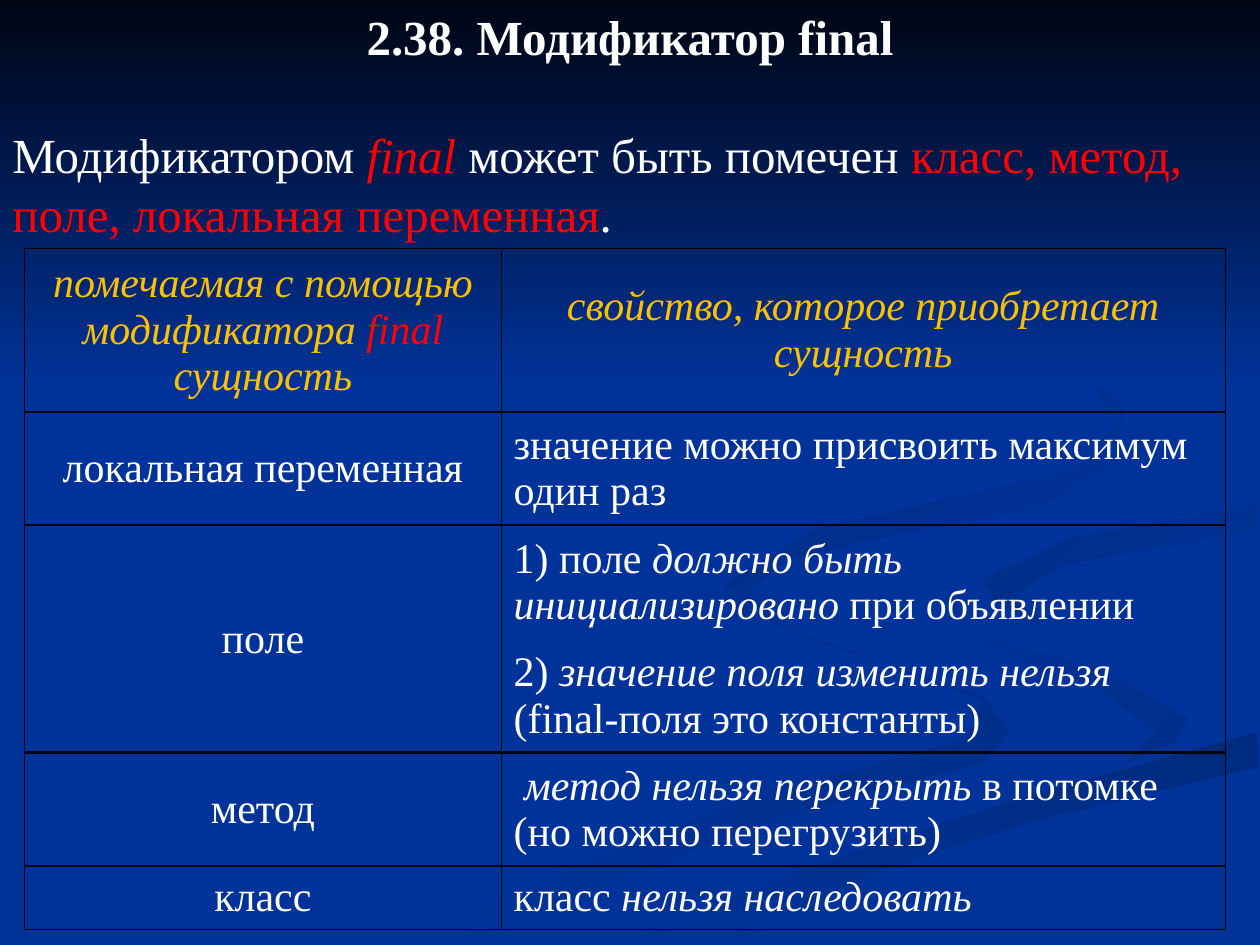
from lxml.etree import SubElement
from pptx import Presentation
from pptx.dml.color import RGBColor
from pptx.enum.shapes import MSO_SHAPE
from pptx.enum.text import MSO_ANCHOR, MSO_AUTO_SIZE, PP_ALIGN
from pptx.oxml.ns import qn
from pptx.util import Cm, Pt

WHITE = RGBColor(0xFF, 0xFF, 0xFF)
RED = RGBColor(0xFF, 0x00, 0x00)
GOLD = RGBColor(0xFF, 0xC0, 0x00)
BLACK = RGBColor(0x00, 0x00, 0x00)
NIGHT = RGBColor(0x00, 0x05, 0x14)
BLUE = RGBColor(0x00, 0x33, 0x99)
DEEP_BLUE = RGBColor(0x00, 0x2E, 0x8B)
DARK_BLUE = RGBColor(0x00, 0x2A, 0x7D)
SHADE_BLUE = RGBColor(0x00, 0x2D, 0x86)
CURL_BLUE = RGBColor(0x00, 0x2B, 0x82)
FONT = "Times New Roman"

TITLE = [("2.38. Модификатор final", WHITE, False)]
INTRO = [
    ("Модификатором ", WHITE, False),
    ("final ", RED, True),
    ("может быть помечен ", WHITE, False),
    ("класс, метод, поле, локальная переменная", RED, False),
    (".", WHITE, False),
]
TABLE_ROWS = [
    ([("помечаемая с помощью модификатора ", GOLD, True), ("final", RED, True), (" сущность", GOLD, True)],
     [("свойство, которое приобретает сущность", GOLD, True)]),
    ([("локальная переменная", WHITE, False)],
     [("значение можно присвоить максимум один раз", WHITE, False)]),
    ([("поле", WHITE, False)],
     [("1) поле ", WHITE, False), ("должно быть инициализировано", WHITE, True),
      (" при объявлении", WHITE, False)]),
    ([],
     [("2) ", WHITE, False), ("значение поля изменить нельзя ", WHITE, True),
      ("(final-поля это константы)", WHITE, False)]),
    ([("метод", WHITE, False)],
     [(" ", WHITE, False), ("метод нельзя перекрыть ", WHITE, True),
      ("в потомке (но можно перегрузить)", WHITE, False)]),
    ([("класс", WHITE, False)],
     [("класс ", WHITE, False), ("нельзя наследовать", WHITE, True)]),
]
COLUMN_WIDTHS = [9.6, 14.6]
ROW_HEIGHTS = [3.3] + [2.29] * 4 + [1.27]
FIELD_ROWS = (2, 3)

RIBBON_UNIT = Cm(0.0254)
RIBBONS = [
    (BLUE, DEEP_BLUE, 0, [
        (781, 553), (642, 507), (575, 459), (576, 480), (697, 525), (781, 556),
        (767, 587), (579, 639), (300, 749), (361, 749), (623, 647), (780, 605), (800, 581)]),
    (BLUE, DEEP_BLUE, 45, [
        (943, 570), (870, 530), (758, 498), (724, 464), (746, 500), (868, 544),
        (918, 581), (894, 605), (932, 589)]),
    (DARK_BLUE, BLUE, 90, [
        (503, 749), (571, 749), (695, 692), (821, 651), (998, 609), (998, 581),
        (797, 638), (630, 693)]),
    (SHADE_BLUE, BLUE, 45, [
        (781, 460), (791, 478), (826, 496), (805, 472), (843, 448), (998, 420),
        (998, 402), (849, 427)]),
    (CURL_BLUE, BLUE, 45, [
        (683, 430), (825, 402), (889, 362), (890, 324), (843, 275), (762, 233),
        (846, 279), (889, 335), (852, 374), (649, 420), (577, 462), (622, 500),
        (593, 470), (624, 444)]),
]


def fill_with_gradient(shape, start_color, end_color, angle):
    shape.shadow.inherit = False
    shape.line.fill.background()
    shape.fill.gradient()
    shape.fill.gradient_angle = -angle % 360
    for stop, color in zip(shape.fill.gradient_stops, (start_color, end_color)):
        stop.color.rgb = color


def add_backdrop(slide):
    for start_color, end_color, angle, points in RIBBONS:
        builder = slide.shapes.build_freeform(*points[0], scale=RIBBON_UNIT)
        builder.add_line_segments(points[1:], close=True)
        fill_with_gradient(builder.convert_to_shape(), start_color, end_color, angle)
    band = slide.shapes.add_shape(MSO_SHAPE.RECTANGLE, 0, 0, Cm(25.4), Cm(7.82))
    fill_with_gradient(band, NIGHT, BLUE, 90)


def write_runs(paragraph, runs, size, alignment, bold=False):
    paragraph.alignment = alignment
    for text, color, italic in runs:
        run = paragraph.add_run()
        run.text = text
        run.font.name = FONT
        run.font.size = Pt(size)
        run.font.bold = bold
        run.font.italic = italic
        run.font.color.rgb = color


def format_text_box(shape, left, top, width, height):
    shape.left, shape.top, shape.width, shape.height = left, top, width, height
    frame = shape.text_frame
    frame.word_wrap = True
    frame.auto_size = MSO_AUTO_SIZE.NONE
    frame.vertical_anchor = MSO_ANCHOR.TOP
    return frame.paragraphs[0]


def add_border(cell, side, color, width):
    properties = cell._tc.get_or_add_tcPr()
    line = SubElement(properties, qn(f"a:ln{side}"), w=str(Pt(width)))
    if color is None:
        SubElement(line, qn("a:noFill"))
    else:
        fill = SubElement(line, qn("a:solidFill"))
        SubElement(fill, qn("a:srgbClr"), val=str(color))


def horizontal_border(boundary):
    if boundary in (0, len(TABLE_ROWS)):
        return BLACK, 0.45
    if boundary == FIELD_ROWS[1]:
        return None, 0
    return NIGHT, 1.47


def add_modifier_table(slide):
    frame = slide.shapes.add_table(
        len(TABLE_ROWS), len(COLUMN_WIDTHS), Cm(0.5), Cm(5),
        Cm(sum(COLUMN_WIDTHS)), Cm(sum(ROW_HEIGHTS)))
    table = frame.table
    table.first_row = False
    table.horz_banding = False
    for column, width in zip(table.columns, COLUMN_WIDTHS):
        column.width = Cm(width)
    for row, height in zip(table.rows, ROW_HEIGHTS):
        row.height = Cm(height)
    for row_index, row_runs in enumerate(TABLE_ROWS):
        for column_index, runs in enumerate(row_runs):
            cell = table.cell(row_index, column_index)
            centered = row_index == 0 or column_index == 0
            write_runs(cell.text_frame.paragraphs[0], runs, 24,
                       PP_ALIGN.CENTER if centered else PP_ALIGN.LEFT)
            cell.vertical_anchor = MSO_ANCHOR.MIDDLE
            add_border(cell, "L", BLACK, 0.45)
            add_border(cell, "R", BLACK, 0.45)
            add_border(cell, "T", *horizontal_border(row_index))
            add_border(cell, "B", *horizontal_border(row_index + 1))
            cell.fill.background()
    table.cell(FIELD_ROWS[0], 0).merge(table.cell(FIELD_ROWS[1], 0))


def main():
    presentation = Presentation()
    presentation.slide_width, presentation.slide_height = Cm(25.4), Cm(19.05)
    slide = presentation.slides.add_slide(presentation.slide_layouts[5])
    slide.background.fill.solid()
    slide.background.fill.fore_color.rgb = BLUE
    add_backdrop(slide)

    title = slide.shapes.title
    slide.shapes.element.append(title.element)
    title_paragraph = format_text_box(title, 0, 0, Cm(25.4), Cm(1.5))
    write_runs(title_paragraph, TITLE, 28, PP_ALIGN.CENTER, bold=True)

    intro_place = 0, Cm(2.38), Cm(25.4), Cm(2.62)
    intro = slide.shapes.add_textbox(*intro_place)
    write_runs(format_text_box(intro, *intro_place), INTRO, 28, PP_ALIGN.LEFT)

    add_modifier_table(slide)
    presentation.save("out.pptx")


if __name__ == "__main__":
    main()
